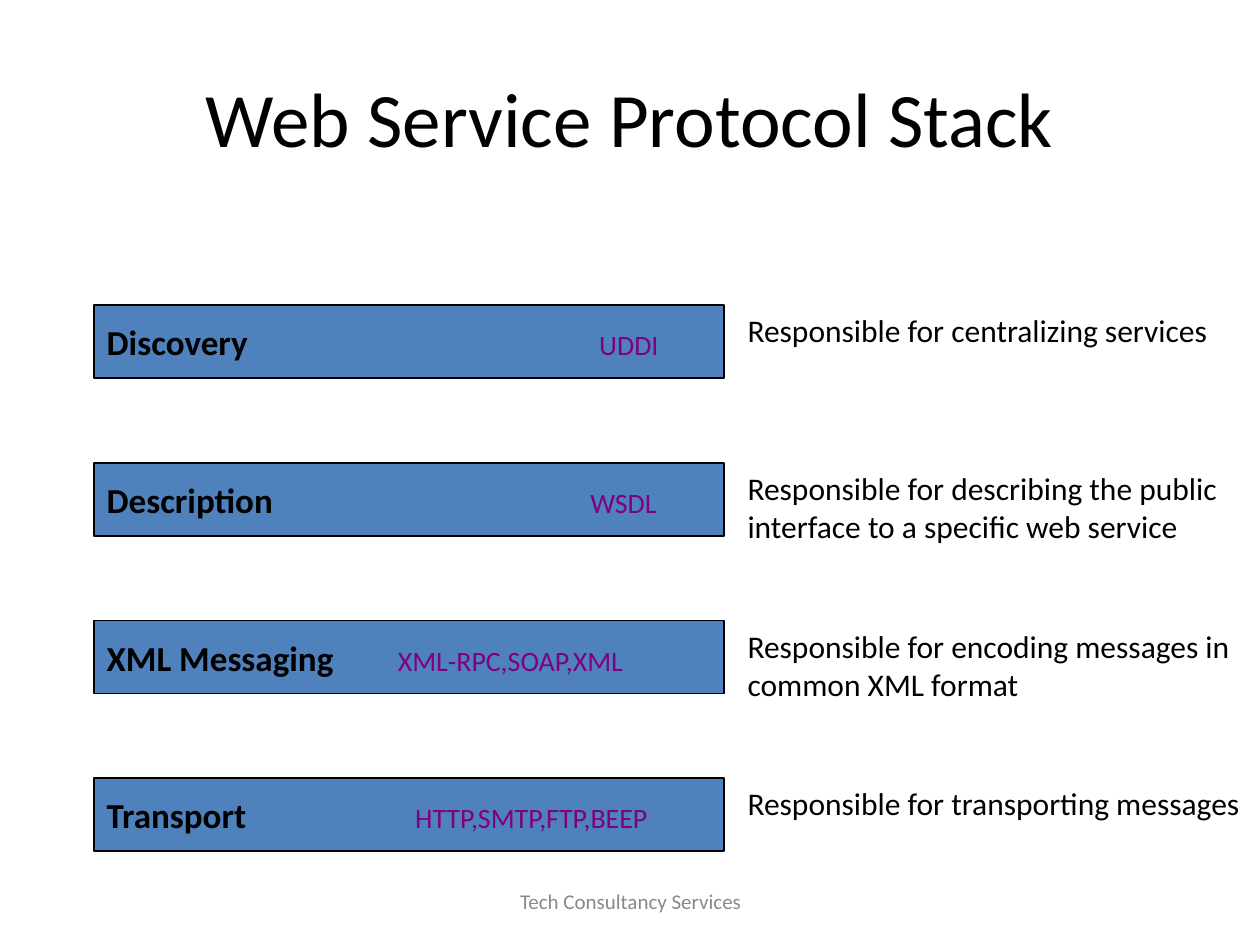
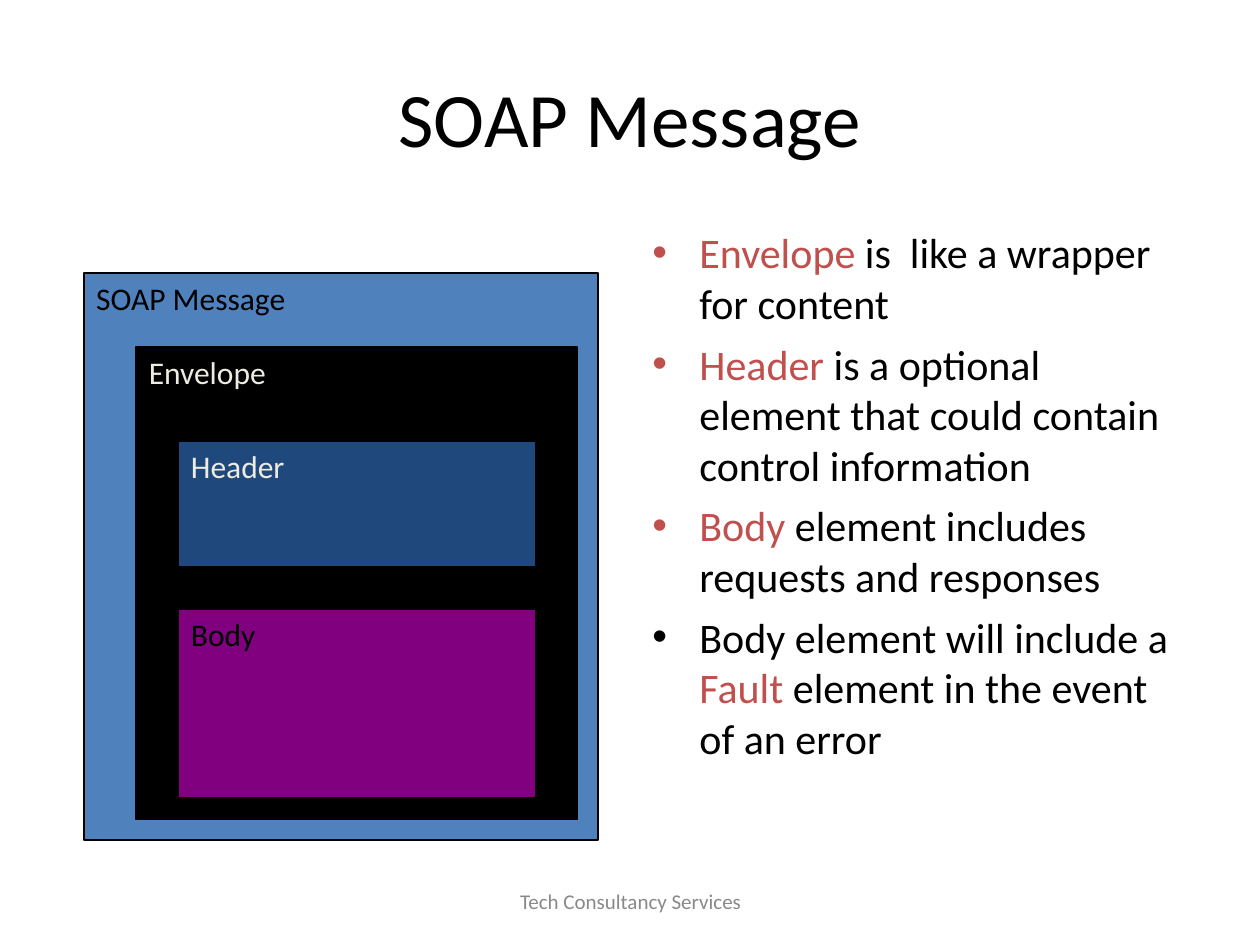
"""Build two slides on the web service protocol stack and the SOAP message."""
import dataclasses

import lxml.etree
import pptx
import pptx.dml.color
import pptx.enum.shapes
import pptx.enum.text
import pptx.oxml.ns
import pptx.util

Cm = pptx.util.Cm
ALIGN = pptx.enum.text.PP_ALIGN
ANCHOR = pptx.enum.text.MSO_ANCHOR


@dataclasses.dataclass(frozen=True)
class Theme:
    font: str = "Calibri"
    black: str = "000000"
    cream: str = "EEECE1"
    blue: str = "4F81BD"
    navy: str = "1F497D"
    purple: str = "800080"
    red: str = "C0504D"
    grey: str = "898989"
    title_size: int = 44
    bullet_size: int = 24
    layer_size: int = 20
    text_size: int = 18
    protocol_size: int = 16
    footer_size: int = 12


theme = Theme()


def add_box(slide, left, top, width, height, fill=None):
    """Add a text box, or an outlined rectangle when a fill is given."""
    frame = Cm(left), Cm(top), Cm(width), Cm(height)
    if fill is None:
        box = slide.shapes.add_textbox(*frame)
    else:
        box = slide.shapes.add_shape(pptx.enum.shapes.MSO_SHAPE.RECTANGLE, *frame)
        box.shadow.inherit = False
        box.fill.solid()
        box.fill.fore_color.rgb = pptx.dml.color.RGBColor.from_string(fill)
        box.line.color.rgb = pptx.dml.color.RGBColor.from_string(theme.black)
        box.line.width = pptx.util.Pt(1)
    box.text_frame.word_wrap = True
    box.text_frame.vertical_anchor = ANCHOR.TOP
    return box


def write(para, spans, size, align=ALIGN.LEFT):
    """Write spans of (text, colour) or (text, colour, size, bold)."""
    para.alignment = align
    for text, colour, *style in spans:
        span = para.add_run()
        span.text = text
        span_size, bold = style or (size, False)
        span.font.name = theme.font
        span.font.size = pptx.util.Pt(span_size)
        span.font.bold = bold
        span.font.color.rgb = pptx.dml.color.RGBColor.from_string(colour)


deck = pptx.Presentation()
deck.slide_width, deck.slide_height = Cm(25.4), Cm(19.05)

slides = []
for heading in ("Web Service Protocol Stack", "SOAP Message"):
    slide = deck.slides.add_slide(deck.slide_layouts[5])
    title = slide.shapes.title
    title.left, title.top, title.width, title.height = Cm(1.27), Cm(0.76), Cm(22.86), Cm(3.18)
    title.text_frame.vertical_anchor = ANCHOR.MIDDLE
    write(title.text_frame.paragraphs[0], [(heading, theme.black)], theme.title_size, ALIGN.CENTER)
    footer = add_box(slide, 8.69, 17.65, 8.05, 1.02)
    footer.text_frame.vertical_anchor = ANCHOR.MIDDLE
    write(footer.text_frame.paragraphs[0], [("Tech Consultancy Services", theme.grey)],
          theme.footer_size, ALIGN.CENTER)
    slides.append(slide)
stack_slide, soap_slide = slides

layers = [
    ("Discovery", "UDDI", 9.93, "Responsible for centralizing services", 1.02),
    ("Description", "WSDL", 9.75,
     "Responsible for describing the public interface to a specific web service", 1.78),
    ("XML Messaging", "XML-RPC,SOAP,XML", 5.87,
     "Responsible for encoding messages in common XML format", 1.78),
    ("Transport", "HTTP,SMTP,FTP,BEEP", 6.22, "Responsible for transporting messages", 1.02),
]
for row, (layer, protocols, tab_stop, duty, duty_height) in enumerate(layers):
    top = 6.15 + 3.18 * row
    bar = add_box(stack_slide, 1.9, top, 12.7, 1.47, theme.blue)
    bar.text_frame.vertical_anchor = ANCHOR.MIDDLE
    para = bar.text_frame.paragraphs[0]
    properties = para._p.get_or_add_pPr()
    tabs = lxml.etree.SubElement(properties, pptx.oxml.ns.qn("a:tabLst"))
    lxml.etree.SubElement(tabs, pptx.oxml.ns.qn("a:tab"), pos=str(Cm(tab_stop)), algn="l")
    write(para, [(layer, theme.black, theme.layer_size, True),
                 ("\t" + protocols, theme.purple)], theme.protocol_size)
    duty_box = add_box(stack_slide, 14.82, top, 10.58, duty_height)
    write(duty_box.text_frame.paragraphs[0], [(duty, theme.black)], theme.text_size)

message_parts = [
    ("SOAP Message", 1.69, 5.5, 10.37, 11.43, theme.blue, theme.black),
    ("Envelope", 2.75, 6.99, 8.89, 9.53, theme.black, theme.cream),
    ("Header", 3.6, 8.89, 7.2, 2.54, theme.navy, theme.cream),
    ("Body", 3.6, 12.28, 7.2, 3.81, theme.purple, theme.black),
]
for name, left, top, width, height, fill, colour in message_parts:
    part = add_box(soap_slide, left, top, width, height, fill)
    write(part.text_frame.paragraphs[0], [(name, colour)], theme.text_size)

bullets = [
    [("Envelope", theme.red), (" is  like a wrapper for content", theme.black)],
    [("Header", theme.red),
     (" is a optional element that could contain control information", theme.black)],
    [("Body", theme.red), (" element includes requests and responses", theme.black)],
    [("Body element will include a ", theme.black), ("Fault", theme.red),
     (" element in the event of an error", theme.black)],
]
notes_box = add_box(soap_slide, 12.9, 4.45, 11.23, 12.57)
for index, spans in enumerate(bullets):
    para = notes_box.text_frame.add_paragraph() if index else notes_box.text_frame.paragraphs[0]
    properties = para._p.get_or_add_pPr()
    properties.set("marL", str(Cm(0.95)))
    properties.set("indent", str(Cm(-0.95)))
    bullet_colour = lxml.etree.SubElement(properties, pptx.oxml.ns.qn("a:buClr"))
    lxml.etree.SubElement(bullet_colour, pptx.oxml.ns.qn("a:srgbClr"), val=spans[0][1])
    lxml.etree.SubElement(properties, pptx.oxml.ns.qn("a:buFont"), typeface="Arial")
    lxml.etree.SubElement(properties, pptx.oxml.ns.qn("a:buChar"), char="•")
    if index:
        para.space_before = pptx.util.Pt(6)
    write(para, spans, theme.bullet_size)

deck.save("out.pptx")
